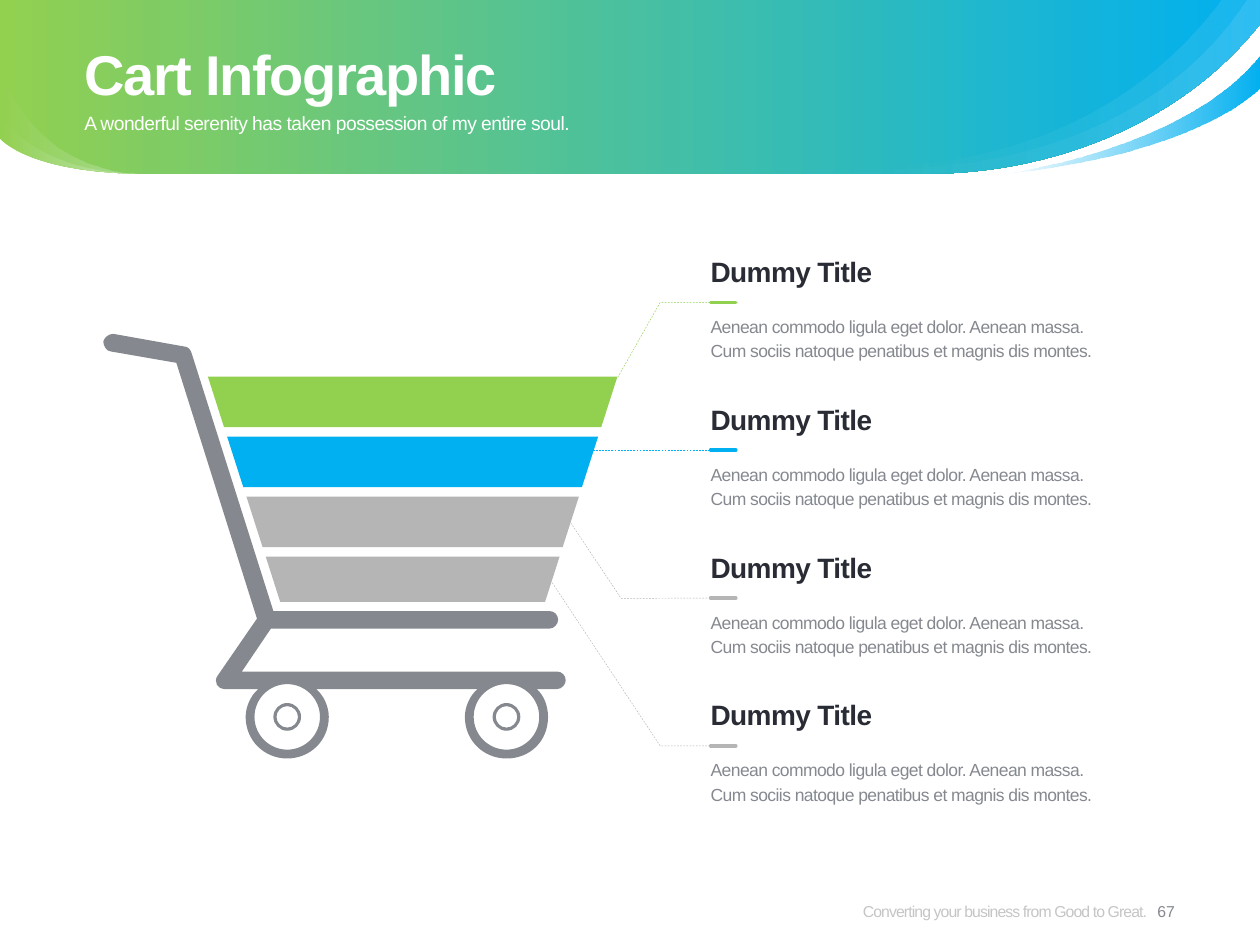
from lxml.etree import SubElement
from pptx import Presentation
from pptx.dml.color import RGBColor
from pptx.enum.dml import MSO_LINE
from pptx.enum.shapes import MSO_CONNECTOR
from pptx.enum.text import MSO_ANCHOR, PP_ALIGN
from pptx.oxml.ns import qn
from pptx.util import Inches, Pt

COLORS = {
    "green": "92D050", "blue": "00B0F0", "silver": "B5B5B5", "gray": "85898F",
    "ink": "292C34", "footer": "8C8C8C", "white": "FFFFFF",
}
SECTION_COLORS = ["green", "blue", "silver", "silver"]
SECTION_TOP, SECTION_PITCH = 2.4, 1.173
BODY = ["Aenean commodo ligula eget dolor. Aenean massa.",
        "Cum sociis natoque penatibus et magnis dis montes."]
WHEEL_Y = 5.69
WHEEL_CENTERS = [2.28, 4.02]
WHEEL_RADII = [0.26, 0.11, 0.085]
LEADERS = {0: [(5.24, 2.4), (4.9, 3)],
           2: [(4.93, 4.75), (4.53, 4.15)],
           3: [(5.24, 5.92), (4.38, 4.62)]}
BAND_EDGE = [(10, 0.19), (9.4, 0.95, 8.4, 1.38, 7.34, 1.38)]
LEFT_EDGE = (0.21, 1.37, 0, 1.1, 0, 1.1)
SHEEN_EDGE = [(10, 0), *BAND_EDGE, (6.83, 1.38, 6.53, 1.31, 6.51, 1.31)]
FRAME = [
    (4.42, 5.33), (1.92, 5.33), (2.15, 4.99), (4.36, 4.99),
    (4.4, 4.99, 4.43, 4.95, 4.43, 4.92), (4.43, 4.88, 4.4, 4.85, 4.36, 4.85),
    (2.17, 4.85), (1.52, 2.8), (1.51, 2.77, 1.49, 2.75, 1.46, 2.75),
    (0.9, 2.65), (0.86, 2.65, 0.83, 2.68, 0.82, 2.71),
    (0.82, 2.75, 0.85, 2.79, 0.88, 2.79), (1.4, 2.88), (2.04, 4.91),
    (1.73, 5.36), (1.69, 5.41, 1.73, 5.47, 1.78, 5.47),
    (2.05, 5.47), (1.99, 5.52, 1.95, 5.61, 1.95, 5.69),
    (1.95, 5.88, 2.1, 6.02, 2.28, 6.02), (2.46, 6.02, 2.61, 5.88, 2.61, 5.69),
    (2.61, 5.61, 2.57, 5.52, 2.51, 5.47),
    (3.79, 5.47), (3.73, 5.52, 3.69, 5.61, 3.69, 5.69),
    (3.69, 5.88, 3.84, 6.02, 4.02, 6.02), (4.21, 6.02, 4.35, 5.88, 4.35, 5.69),
    (4.35, 5.61, 4.32, 5.52, 4.26, 5.47),
    (4.42, 5.47), (4.46, 5.47, 4.49, 5.43, 4.49, 5.4),
    (4.49, 5.36, 4.46, 5.33, 4.42, 5.33),
]


def rgb(name):
    """Return the named colour."""
    return RGBColor.from_string(COLORS[name])


def set_alpha(color_element, percent):
    """Set the opacity of a colour element."""
    SubElement(color_element, qn("a:alpha")).set("val", str(percent * 1000))


def circle(x, y, radius):
    """Return a circle as four curve steps."""
    k = 0.55 * radius
    left, right, top, bottom = x - radius, x + radius, y - radius, y + radius
    return [(right, y), (right, y + k, x + k, bottom, x, bottom),
            (x - k, bottom, left, y + k, left, y), (left, y - k, x - k, top, x, top),
            (x + k, top, right, y - k, right, y)]


def bend(shape, segment, step):
    """Turn a straight segment of a freeform into a cubic curve."""
    segment.tag = qn("a:cubicBezTo")
    end = segment[0]
    for x, y in (step[:2], step[2:4]):
        control = SubElement(segment, qn("a:pt"))
        control.set("x", str(Inches(x) - shape.left))
        control.set("y", str(Inches(y) - shape.top))
    segment.append(end)


def add_outline(slide, *contours, close=True):
    """Add a freeform whose steps are line ends or cubic curves."""
    builder = None
    for contour in contours:
        points = [(Inches(step[-2]), Inches(step[-1])) for step in contour]
        if builder is None:
            builder = slide.shapes.build_freeform(*points[0], scale=1.0)
        else:
            builder.move_to(*points[0])
        builder.add_line_segments(points[1:], close=close)
    shape = builder.convert_to_shape()
    shape.shadow.inherit = False
    steps = [step for contour in contours for step in contour[1:]]
    for segment, step in zip(list(shape._element.iter(qn("a:lnTo"))), steps):
        if len(step) == 6:
            bend(shape, segment, step)
    return shape


def add_solid(slide, color, *contours):
    """Add a filled freeform without a line."""
    shape = add_outline(slide, *contours)
    shape.fill.solid()
    shape.fill.fore_color.rgb = rgb(color)
    shape.line.fill.background()


def add_gradient(slide, steps, start, end, alphas=(100, 100), begin=0):
    """Add a freeform with a left-to-right gradient."""
    shape = add_outline(slide, steps)
    shape.line.fill.background()
    shape.fill.gradient()
    shape.fill.gradient_angle = 0
    for stop, color, position in zip(shape.fill.gradient_stops, (start, end), (begin, 1)):
        stop.color.rgb = rgb(color)
        stop.position = position
    colors = shape._element.spPr.find(qn("a:gradFill")).iter(qn("a:srgbClr"))
    for color_element, alpha in zip(list(colors), alphas):
        set_alpha(color_element, alpha)


def format_line(line, color, width, dashed=False):
    """Format a line or an outline."""
    line.color.rgb = rgb(color)
    line.width = Pt(width)
    if dashed:
        line.dash_style = MSO_LINE.DASH


def add_line(slide, start, end, color, width, dashed=False):
    """Add a straight connector without a shadow."""
    ends = [Inches(value) for value in (*start, *end)]
    connector = slide.shapes.add_connector(MSO_CONNECTOR.STRAIGHT, *ends)
    format_line(connector.line, color, width, dashed)
    if not dashed:
        connector.line._get_or_add_ln().set("cap", "rnd")
    SubElement(connector._element.spPr, qn("a:effectLst"))


def write_text(slide, lines, box, shape=None, size=10, color="gray", bold=False, spacing=0,
               leading=None, align=PP_ALIGN.LEFT, anchor=MSO_ANCHOR.TOP, alpha=None):
    """Write paragraphs in a new text box or in a given placeholder."""
    left, top, width, height = (Inches(value) for value in box)
    if shape is None:
        shape = slide.shapes.add_textbox(left, top, width, height)
    shape.left, shape.top, shape.width, shape.height = left, top, width, height
    frame = shape.text_frame
    frame.word_wrap = True
    frame.vertical_anchor = anchor
    frame.margin_left = frame.margin_right = frame.margin_top = frame.margin_bottom = 0
    for index, line in enumerate(lines):
        paragraph = frame.add_paragraph() if index else frame.paragraphs[0]
        paragraph.alignment = align
        if leading:
            paragraph.line_spacing = Pt(leading)
        run = paragraph.add_run()
        run.text = line
        run.font.name, run.font.size, run.font.bold = "Arial", Pt(size), bold
        run.font.color.rgb = rgb(color)
        run._r.get_or_add_rPr().set("spc", str(round(spacing * 100)))
        if alpha:
            set_alpha(next(run._r.iter(qn("a:srgbClr"))), alpha)


def add_banner(slide):
    """Draw the gradient band with its swoosh and sheens."""
    add_gradient(slide, [(10, 0), *BAND_EDGE, (1.14, 1.38), LEFT_EDGE, (0, 0)], "green", "blue")
    add_gradient(slide, [(7.94, 1.38), (7.94, 1.38, 9.4, 1.2, 10, 0.43), (10, 0.69),
                         (10, 0.69, 9.54, 1.22, 7.94, 1.38)], "blue", "blue", (0, 100))
    for sheen in [(8.32, 1.43, 9.26, 0.58, 9.69, 0), (6.58, 1.32, 8.82, 1.62, 9.89, 0)]:
        add_gradient(slide, [*SHEEN_EDGE, sheen], "white", "white", (0, 10), 0.15)
    for top, control in [(0.89, 1.36), (0.53, 1.35)]:
        add_gradient(slide, [(1.14, 1.38), LEFT_EDGE, (0, top),
                             (0, top, 0.21, control, 1.14, 1.38)], "white", "white", (0, 30))


def add_cart(slide):
    """Draw the basket slabs and the cart frame."""
    for index, color in enumerate(SECTION_COLORS):
        top, inset = 2.99 + 0.476 * index, 0.153 * index
        left, right = 1.65 + inset, 4.9 - inset
        height = 0.36 if index == 3 else 0.4
        slant = 0.32 * height
        add_solid(slide, color, [(left, top), (right, top), (right - slant, top + height),
                                 (left + slant, top + height)])
    wheels = [circle(x, WHEEL_Y, radius) for x in WHEEL_CENTERS for radius in WHEEL_RADII]
    add_solid(slide, "gray", FRAME, *wheels)


def add_section(slide, y, color):
    """Add one title, accent line and description."""
    write_text(slide, BODY, (5.64, y + 0.08, 3.69, 0.39), spacing=-0.3, leading=14)
    add_line(slide, (5.64, y), (5.84, y), color, 2)
    write_text(slide, ["Dummy Title"], (5.64, y - 0.38, 3.69, 0.27), size=16, color="ink",
               bold=True, spacing=-0.3)


def add_leader(slide, index, y, color):
    """Join a basket slab to its section with a thin dashed line."""
    if index in LEADERS:
        shape = add_outline(slide, [(5.81, y), *LEADERS[index]], close=False)
        shape.fill.background()
        format_line(shape.line, color, 0.25, dashed=True)
    else:
        add_line(slide, (5.81, y), (4.71, y), color, 0.25, dashed=True)


def main():
    """Build the slide and save it."""
    presentation = Presentation()
    presentation.slide_width, presentation.slide_height = Inches(10), Inches(7.5)
    slide = presentation.slides.add_slide(presentation.slide_layouts[5])
    add_banner(slide)
    title = slide.shapes.title
    slide.shapes._spTree.append(title._element)
    write_text(slide, ["Cart Infographic"], (0.67, 0.23, 8.66, 0.65), shape=title, size=32,
               color="white", bold=True, spacing=-0.8, leading=42, anchor=MSO_ANCHOR.MIDDLE)
    write_text(slide, ["A wonderful serenity has taken possession of my entire soul."],
               (0.67, 0.88, 8.66, 0.39), size=11, color="white", spacing=-0.3)
    write_text(slide, ["Converting your business from Good to Great."], (6.04, 6.96, 3.06, 0.54),
               size=9, color="footer", spacing=-0.5, align=PP_ALIGN.RIGHT,
               anchor=MSO_ANCHOR.MIDDLE, alpha=50)
    write_text(slide, ["67"], (9.02, 6.96, 0.47, 0.54), size=9, align=PP_ALIGN.CENTER,
               anchor=MSO_ANCHOR.MIDDLE)
    rows = [SECTION_TOP + SECTION_PITCH * index for index in range(len(SECTION_COLORS))]
    for index, (y, color) in enumerate(zip(rows, SECTION_COLORS)):
        add_leader(slide, index, y, color)
    add_cart(slide)
    for y, color in zip(rows, SECTION_COLORS):
        add_section(slide, y, color)
    presentation.save("out.pptx")


if __name__ == "__main__":
    main()
